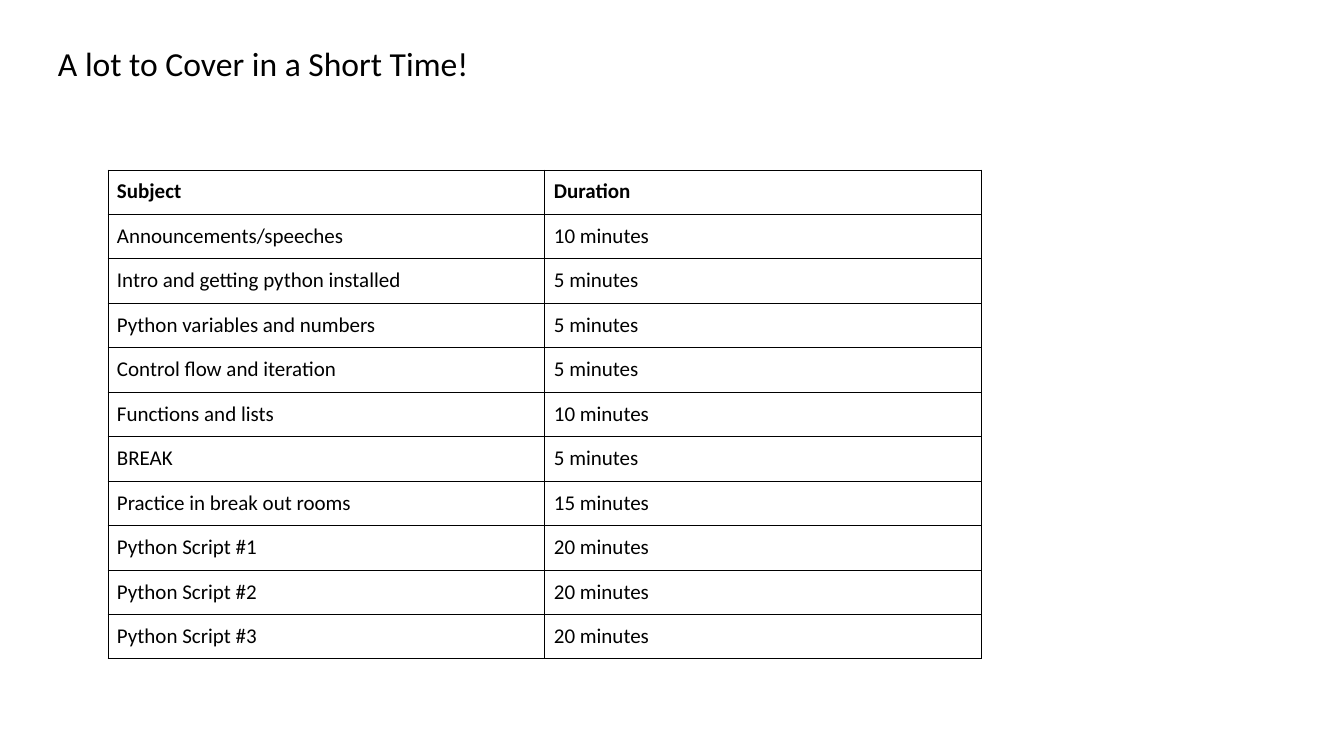
from lxml.etree import SubElement
from pptx import Presentation
from pptx.dml.color import RGBColor
from pptx.enum.text import MSO_ANCHOR
from pptx.oxml.ns import qn
from pptx.util import Pt

TITLE = "A lot to Cover in a Short Time!"
SCHEDULE = [
    ("Subject", "Duration"),
    ("Announcements/speeches", "10 minutes"),
    ("Intro and getting python installed", "5 minutes"),
    ("Python variables and numbers", "5 minutes"),
    ("Control flow and iteration", "5 minutes"),
    ("Functions and lists", "10 minutes"),
    ("BREAK", "5 minutes"),
    ("Practice in break out rooms", "15 minutes"),
    ("Python Script #1", "20 minutes"),
    ("Python Script #2", "20 minutes"),
    ("Python Script #3", "20 minutes"),
]
COLORS = {"ink": "000000", "paper": "FFFFFF"}
FONT = "Calibri"
EMU_PER_INCH = 914400
PX_PER_INCH = 100.8
PAGE_SIZE = (1344, 756)
TITLE_BOX = (45, 34, 1252, 85)
TABLE_BOX = (108, 170, 874, 489)


def px(*lengths):
    return [round(length * EMU_PER_INCH / PX_PER_INCH) for length in lengths]


def write(holder, text, size, inset, bold=False, spacing=None):
    holder.margin_left, holder.margin_top, holder.margin_right, holder.margin_bottom = px(*[inset] * 4)
    holder.vertical_anchor = MSO_ANCHOR.TOP
    frame = getattr(holder, "text_frame", holder)
    frame.word_wrap = True
    para = frame.paragraphs[0]
    para.line_spacing = spacing
    span = para.add_run()
    span.text = text
    span.font.name = FONT
    span.font.size = Pt(size)
    span.font.bold = bold
    span.font.color.rgb = RGBColor.from_string(COLORS["ink"])


def add_borders(cell):
    properties = cell._tc.get_or_add_tcPr()
    for position, side in enumerate(("lnL", "lnR", "lnT", "lnB")):
        line = SubElement(properties, qn(f"a:{side}"), w=str(Pt(0.75)))
        fill = SubElement(line, qn("a:solidFill"))
        SubElement(fill, qn("a:srgbClr"), val=COLORS["ink"])
        properties.insert(position, line)


def main():
    deck = Presentation()
    deck.slide_width, deck.slide_height = px(*PAGE_SIZE)
    page = deck.slides.add_slide(deck.slide_layouts[6])
    page.background.fill.solid()
    page.background.fill.fore_color.rgb = RGBColor.from_string(COLORS["paper"])

    title = page.shapes.add_textbox(*px(*TITLE_BOX))
    write(title.text_frame, TITLE, size=24, inset=13, spacing=0.9)

    table = page.shapes.add_table(len(SCHEDULE), len(SCHEDULE[0]), *px(*TABLE_BOX)).table
    table.horz_banding = False
    for row, entries in enumerate(SCHEDULE):
        for column, text in enumerate(entries):
            cell = table.cell(row, column)
            write(cell, text, size=15, inset=9, bold=row == 0)
            cell.fill.background()
            add_borders(cell)

    deck.save("out.pptx")


if __name__ == "__main__":
    main()
